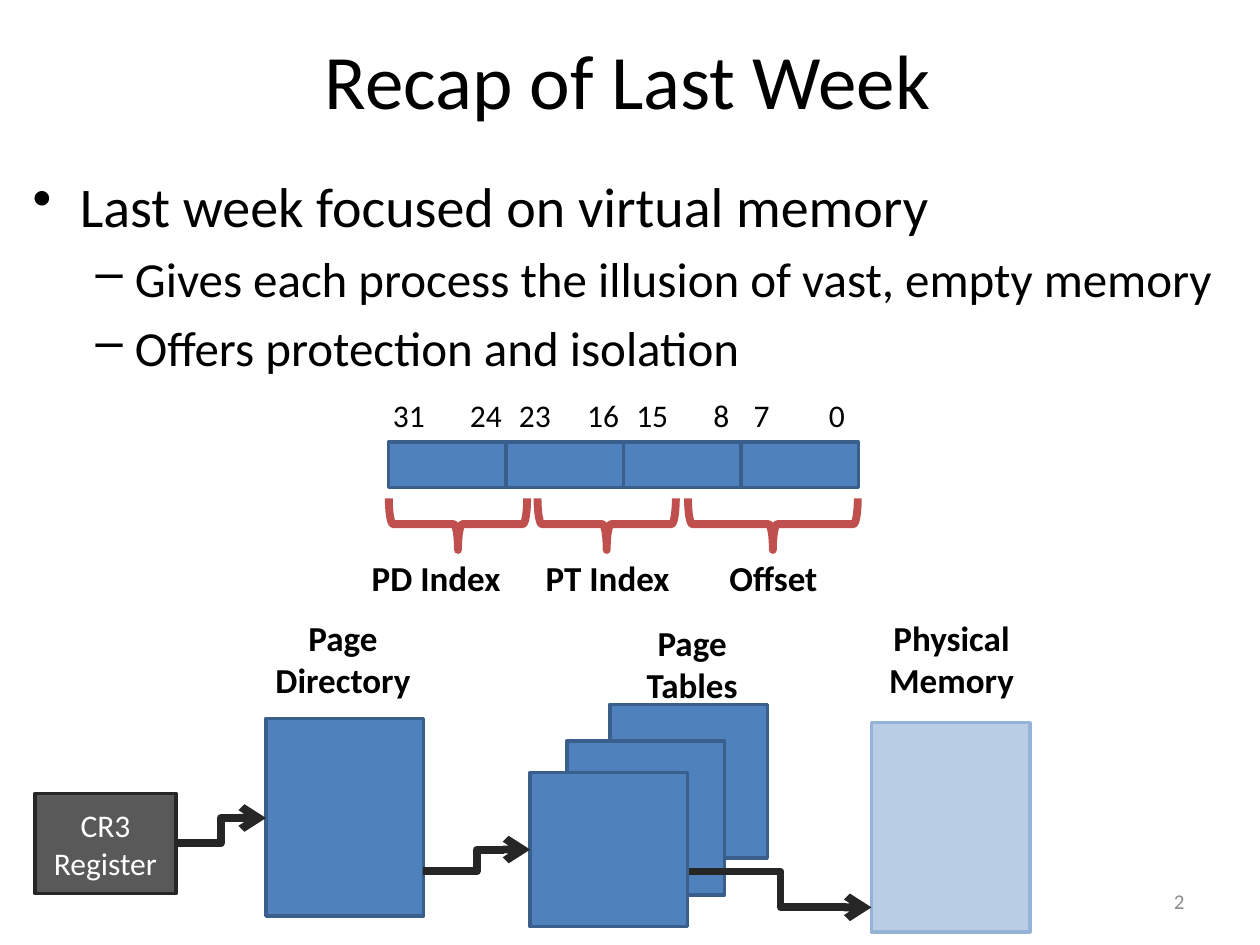
"""Builds the recap slide on virtual memory and two-level page tables."""
from lxml.etree import SubElement
from pptx import Presentation
from pptx.dml.color import RGBColor
from pptx.enum.shapes import MSO_CONNECTOR as Link, MSO_SHAPE as Shape
from pptx.enum.text import MSO_ANCHOR as Anchor, PP_ALIGN as Align
from pptx.oxml.ns import qn
from pptx.util import Pt

rgb = RGBColor.from_string


def write(holder, text, size=18, color="000000", bold=False, align=Align.CENTER,
          anchor=Anchor.TOP, wrap=False):
    frame = holder.text_frame
    frame.word_wrap = wrap
    frame.vertical_anchor = anchor
    for i, line in enumerate(text.split("\n")):
        para = frame.add_paragraph() if i else frame.paragraphs[0]
        para.text = line
        para.alignment = align
        para.font.name = "Calibri"
        para.font.size = Pt(size)
        para.font.bold = bold
        para.font.color.rgb = rgb(color)


def draw(kind, left, top, width, height, fill, line, weight=2):
    shape = shapes.add_shape(kind, Pt(left), Pt(top), Pt(width), Pt(height))
    shape.shadow.inherit = False
    if fill:
        shape.fill.solid()
        shape.fill.fore_color.rgb = rgb(fill)
    else:
        shape.fill.background()
    shape.line.color.rgb = rgb(line)
    shape.line.width = Pt(weight)
    return shape


deck = Presentation()
deck.slide_width, deck.slide_height = Pt(720), Pt(540)
slide = deck.slides.add_slide(deck.slide_layouts[5])
shapes = slide.shapes

title = shapes.title
title.left, title.top, title.width, title.height = Pt(3.5), Pt(0), Pt(710.5), Pt(90)
write(title, "Recap of Last Week", size=44, anchor=Anchor.MIDDLE, wrap=True)

points = shapes.add_textbox(Pt(11.5), Pt(94.5), Pt(693.5), Pt(150))
write(points, "Last week focused on virtual memory\n"
      "Gives each process the illusion of vast, empty memory\n"
      "Offers protection and isolation", size=28, align=Align.LEFT, wrap=True)
for i, para in enumerate(points.text_frame.paragraphs):
    mark, margin, hang = ("–", 58.5, 22.5) if i else ("•", 27, 27)
    props = para._p.get_or_add_pPr()
    props.set("marL", str(Pt(margin)))
    props.set("indent", str(-Pt(hang)))
    bullet = SubElement(props, qn("a:buChar"))
    bullet.set("char", mark)
    props.insert(0, bullet)
    if i:
        para.level = 1
        para.space_before = Pt(5.6)
    else:
        para.font.size = Pt(32)

page_number = shapes.add_textbox(Pt(516), Pt(500.5), Pt(168), Pt(28.5))
write(page_number, "2", size=12, color="8C8C8C", align=Align.RIGHT,
      anchor=Anchor.MIDDLE, wrap=True)

draw(Shape.RECTANGLE, 152, 410.5, 90, 113, "4F81BD", "3A5F8C")
for left, top in [(348.5, 402.5), (324, 423.5), (303, 441.5)]:
    draw(Shape.RECTANGLE, left, top, 90, 88, "4F81BD", "3A5F8C")
draw(Shape.RECTANGLE, 498, 413, 90.5, 119.5, "B9CDE5", "95B3D7")
register = draw(Shape.FLOWCHART_PROCESS, 20, 453.5, 80.5, 57, "595959", "262626")
write(register, "CR3\nRegister", color="FFFFFF", anchor=Anchor.MIDDLE)

for start_x, start_y, end_x, end_y in [(100.5, 482, 152, 467.5), (242, 498, 303, 485.5),
                                       (394, 498, 498, 518.5)]:
    arrow = shapes.add_connector(Link.ELBOW, Pt(start_x), Pt(start_y), Pt(end_x), Pt(end_y))
    arrow.line.color.rgb = rgb("262626")
    arrow.line.width = Pt(4.5)
    SubElement(arrow.line._get_or_add_ln(), qn("a:tailEnd")).set("type", "arrow")
    SubElement(arrow._element.spPr, qn("a:effectLst"))

for byte in range(4):
    draw(Shape.FLOWCHART_PROCESS, 222 + 67.2 * byte, 252.5, 67, 26, "4F81BD", "3A5F8C")
for bit, left in [("31", 217.5), ("24", 261.5), ("23", 289.5), ("16", 328.5),
                  ("15", 356.5), ("8", 400.5), ("7", 423.5), ("0", 466.5)]:
    label = shapes.add_textbox(Pt(left), Pt(223), Pt(33 if len(bit) == 2 else 24), Pt(29))
    write(label, bit, align=Align.LEFT)

for center, span in [(261.7, 79), (346.7, 79), (441.7, 97)]:
    brace = draw(Shape.LEFT_BRACE, center - 14.75, 299.5 - span / 2, 29.5, span,
                 None, "C0504D", 4.5)
    brace.rotation = 270

for caption, left, top, width, height in [
        ("PD Index", 204.5, 314.5, 89.5, 31.5), ("PT Index", 304, 314.5, 86.5, 31.5),
        ("Offset", 409, 314.5, 66, 31.5), ("Page\nDirectory", 150, 349, 92, 55.5),
        ("Page\nTables", 362, 351.5, 67, 55.5), ("Physical\nMemory", 500.5, 349, 86.5, 55.5)]:
    write(shapes.add_textbox(Pt(left), Pt(top), Pt(width), Pt(height)), caption,
          size=20, bold=True)

deck.save("out.pptx")
